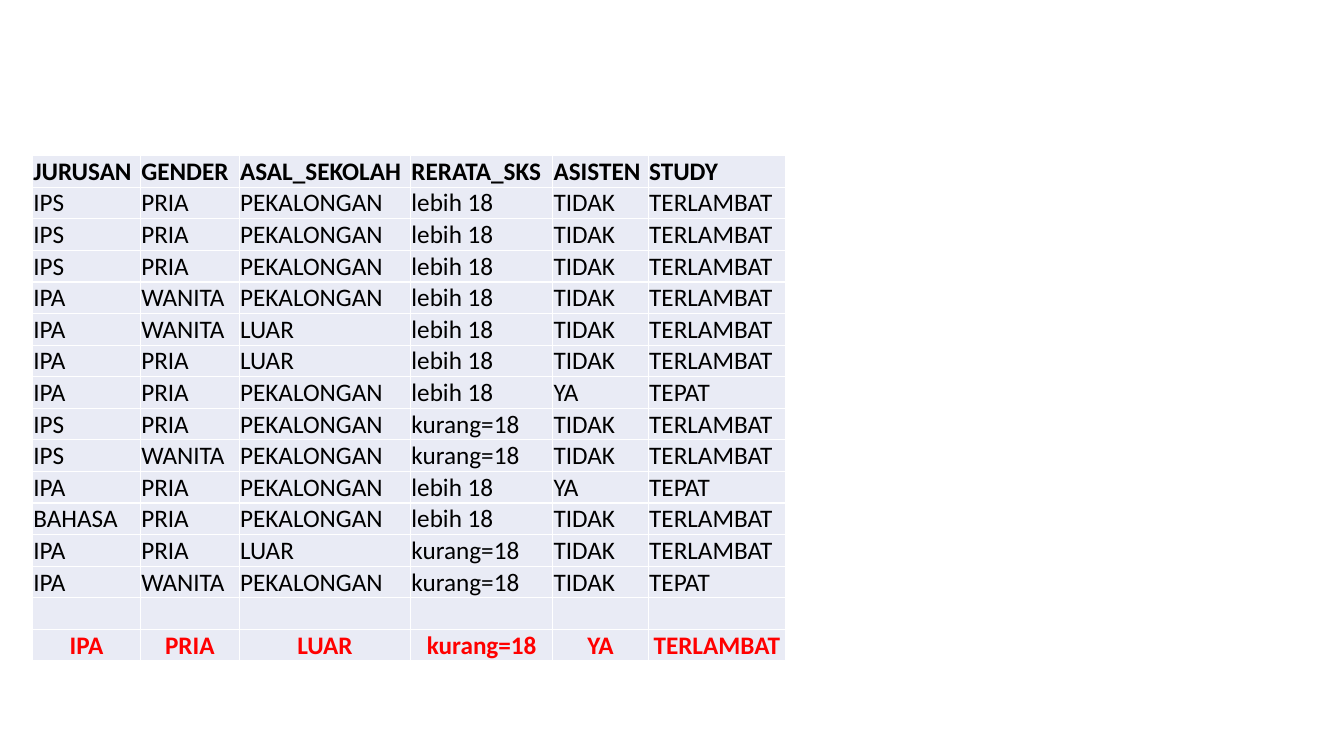
import dataclasses

import lxml.etree
import pptx
import pptx.dml.color
import pptx.enum.text
import pptx.oxml.ns
import pptx.util

Cm = pptx.util.Cm


@dataclasses.dataclass(frozen=True)
class Theme:
    font: str = "Calibri"
    size: int = 18
    text: str = "000000"
    highlight: str = "FF0000"
    cell: str = "E9EBF5"
    border: str = "FFFFFF"
    border_width: int = 1


theme = Theme()


def add_borders(cell):
    properties = cell._tc.get_or_add_tcPr()
    for position, side in enumerate(("lnL", "lnR", "lnT", "lnB")):
        line = lxml.etree.Element(
            pptx.oxml.ns.qn(f"a:{side}"), w=str(pptx.util.Pt(theme.border_width))
        )
        fill = lxml.etree.SubElement(line, pptx.oxml.ns.qn("a:solidFill"))
        lxml.etree.SubElement(fill, pptx.oxml.ns.qn("a:srgbClr"), val=theme.border)
        properties.insert(position, line)


# Student records: header, known cases, a blank row, and the case to classify
header = ("JURUSAN", "GENDER", "ASAL_SEKOLAH", "RERATA_SKS", "ASISTEN", "STUDY")
records = [
    ("IPS", "PRIA", "PEKALONGAN", "lebih 18", "TIDAK", "TERLAMBAT"),
    ("IPS", "PRIA", "PEKALONGAN", "lebih 18", "TIDAK", "TERLAMBAT"),
    ("IPS", "PRIA", "PEKALONGAN", "lebih 18", "TIDAK", "TERLAMBAT"),
    ("IPA", "WANITA", "PEKALONGAN", "lebih 18", "TIDAK", "TERLAMBAT"),
    ("IPA", "WANITA", "LUAR", "lebih 18", "TIDAK", "TERLAMBAT"),
    ("IPA", "PRIA", "LUAR", "lebih 18", "TIDAK", "TERLAMBAT"),
    ("IPA", "PRIA", "PEKALONGAN", "lebih 18", "YA", "TEPAT"),
    ("IPS", "PRIA", "PEKALONGAN", "kurang=18", "TIDAK", "TERLAMBAT"),
    ("IPS", "WANITA", "PEKALONGAN", "kurang=18", "TIDAK", "TERLAMBAT"),
    ("IPA", "PRIA", "PEKALONGAN", "lebih 18", "YA", "TEPAT"),
    ("BAHASA", "PRIA", "PEKALONGAN", "lebih 18", "TIDAK", "TERLAMBAT"),
    ("IPA", "PRIA", "LUAR", "kurang=18", "TIDAK", "TERLAMBAT"),
    ("IPA", "WANITA", "PEKALONGAN", "kurang=18", "TIDAK", "TEPAT"),
]
new_case = ("IPA", "PRIA", "LUAR", "kurang=18", "YA", "TERLAMBAT")
rows = [header, *records, ("",) * len(header), new_case]
column_widths = (2.72, 2.49, 4.32, 3.58, 2.41, 3.45)
row_height = 0.78

# Slide
presentation = pptx.Presentation()
presentation.slide_width = Cm(33.87)
presentation.slide_height = Cm(19.05)
slide = presentation.slides.add_slide(presentation.slide_layouts[6])

# Table frame
table = slide.shapes.add_table(
    len(rows), len(header), Cm(0.82), Cm(3.92),
    Cm(sum(column_widths)), Cm(row_height * len(rows)),
).table
table.first_row = False
table.horz_banding = False
for column, width in zip(table.columns, column_widths):
    column.width = Cm(width)
for row in table.rows:
    row.height = Cm(row_height)

# Cells
for row_index, values in enumerate(rows):
    is_new_case = values is new_case
    color = theme.highlight if is_new_case else theme.text
    for column_index, value in enumerate(values):
        cell = table.cell(row_index, column_index)
        cell.fill.solid()
        cell.fill.fore_color.rgb = pptx.dml.color.RGBColor.from_string(theme.cell)
        add_borders(cell)
        cell.margin_left = cell.margin_right = cell.margin_top = Cm(0.02)
        cell.margin_bottom = Cm(0)
        cell.vertical_anchor = pptx.enum.text.MSO_ANCHOR.BOTTOM
        paragraph = cell.text_frame.paragraphs[0]
        paragraph.font.size = pptx.util.Pt(theme.size)
        if is_new_case:
            paragraph.alignment = pptx.enum.text.PP_ALIGN.CENTER
        if value:
            run = paragraph.add_run()
            run.text = value
            run.font.name = theme.font
            run.font.size = pptx.util.Pt(theme.size)
            run.font.bold = is_new_case or values is header
            run.font.color.rgb = pptx.dml.color.RGBColor.from_string(color)

presentation.save("out.pptx")
